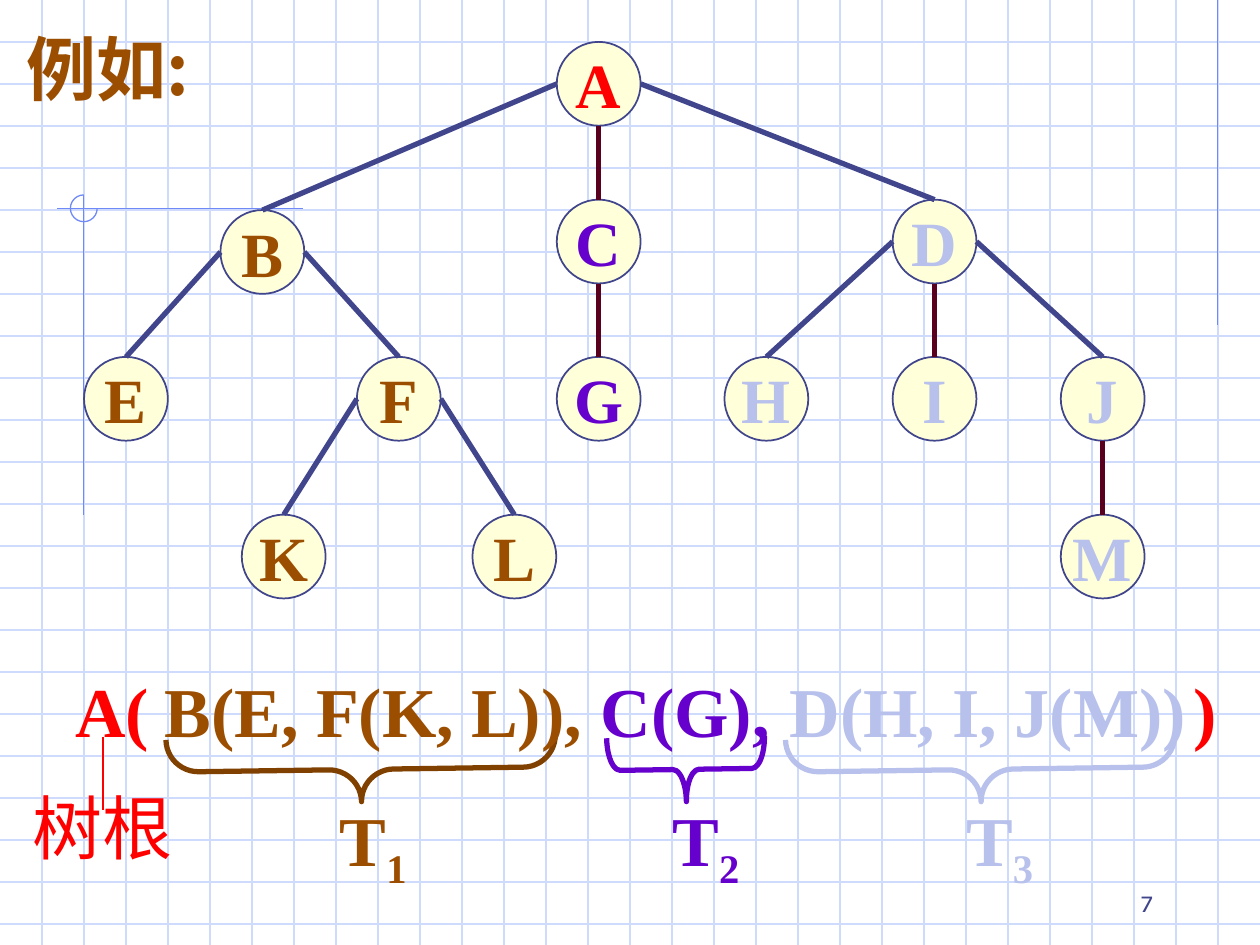
"""Builds a slide showing a tree and its nested-list notation."""
from dataclasses import dataclass

from lxml import etree
from pptx import Presentation
from pptx.dml.color import RGBColor
from pptx.enum.shapes import MSO_CONNECTOR, MSO_SHAPE
from pptx.enum.text import MSO_ANCHOR, MSO_AUTO_SIZE, PP_ALIGN
from pptx.oxml.ns import qn
from pptx.util import Cm, Pt

STRAIGHT = MSO_CONNECTOR.STRAIGHT
OVAL, ARC, BRACE = MSO_SHAPE.OVAL, MSO_SHAPE.ARC, MSO_SHAPE.LEFT_BRACE
LEFT, CENTER, RIGHT = PP_ALIGN.LEFT, PP_ALIGN.CENTER, PP_ALIGN.RIGHT
TOP, MIDDLE, BOTTOM = MSO_ANCHOR.TOP, MSO_ANCHOR.MIDDLE, MSO_ANCHOR.BOTTOM


@dataclass(frozen=True)
class Theme:
    grid: str = "CFDBFD"
    ornament: str = "6F89F7"
    node: str = "FFFFD9"
    ink: str = "40458C"
    trunk: str = "58001D"
    root: str = "FF0000"
    first: str = "9C4E00"
    first_brace: str = "804000"
    second: str = "6600CC"
    third: str = "B7C1EB"
    serif: str = "Times New Roman"
    cjk: str = "Noto Sans CJK SC"
    number: str = "Karla"
    large: int = 40
    label: int = 36
    small: int = 14


THEME = Theme()
WIDTH, HEIGHT = 25.4, 19.05
GRID_STEP = WIDTH / 30
DIAMETER = 1.69
RADIUS = DIAMETER / 2
TITLE, TITLE_BOX = "例如:", (0.28, 0.38, 4.37, 1.96)
ROOT_LABEL, ROOT_BOX = "树根", (0.41, 15.7, 3.33, 1.96)
PAGE_NUMBER, PAGE_BOX = "7", (18.21, 17.35, 5.28, 1.27)

NODES = {
    "A": (12.07, 1.69, THEME.root),
    "B": (5.29, 5.08, THEME.first),
    "C": (12.07, 4.87, THEME.second),
    "D": (18.84, 4.87, THEME.third),
    "E": (2.54, 8.04, THEME.first),
    "F": (8.04, 8.04, THEME.first),
    "G": (12.07, 8.04, THEME.second),
    "H": (15.45, 8.04, THEME.third),
    "I": (18.84, 8.04, THEME.third),
    "J": (22.23, 8.04, THEME.third),
    "K": (5.72, 11.22, THEME.first),
    "L": (10.37, 11.22, THEME.first),
    "M": (22.23, 11.22, THEME.third),
}
CHILDREN = {"A": "BCD", "B": "EF", "C": "G", "D": "HIJ", "F": "KL", "J": "M"}

NOTATION_TOP, NOTATION_HEIGHT = 13.34, 1.96
ROOT_NOTATION, ROOT_NOTATION_LEFT, ROOT_NOTATION_WIDTH = "A(\t)", 1.27, 23.6
CLOSING_TAB = 22.55
BRACE_MIDDLE, BRACE_DEPTH, BRACE_ANGLE = 15.51, 1.3, 269.2
SUBTREES = [
    {"notation": "B(E, F(K, L)),", "left": 3.07, "width": 9.27, "color": THEME.first,
     "brace": (7.28, 7.85, THEME.first_brace), "index": "1", "label_left": 6.6},
    {"notation": "C(G),", "left": 11.86, "width": 4.27, "color": THEME.second,
     "brace": (13.83, 3.18, THEME.second), "index": "2", "label_left": 13.31},
    {"notation": "D(H, I, J(M))", "left": 15.67, "width": 8.48, "color": THEME.third,
     "brace": (19.77, 7.85, THEME.third), "index": "3", "label_left": 19.23},
]
LABEL_TOP, LABEL_WIDTH, LABEL_HEIGHT = 15.93, 2.26, 2.18


def rgb(color):
    return RGBColor.from_string(color)


def add_line(slide, start, end, color, weight):
    line = slide.shapes.add_connector(STRAIGHT, *map(Cm, start + end))
    line.line.color.rgb = rgb(color)
    line.line.width = Pt(weight)
    etree.SubElement(line._element.spPr, qn("a:effectLst"))
    return line


def add_outline(slide, kind, box, color, weight, fill=None):
    shape = slide.shapes.add_shape(kind, *map(Cm, box))
    shape.shadow.inherit = False
    if fill:
        shape.fill.solid()
        shape.fill.fore_color.rgb = rgb(fill)
    else:
        shape.fill.background()
    shape.line.color.rgb = rgb(color)
    shape.line.width = Pt(weight)
    return shape


def write(shape, text, color, size=THEME.large, font=THEME.serif, bold=True,
          align=LEFT, anchor=TOP, wrap=False, tab=None):
    frame = shape.text_frame
    frame.word_wrap = wrap
    frame.auto_size = MSO_AUTO_SIZE.NONE
    frame.vertical_anchor = anchor
    paragraph = frame.paragraphs[0]
    paragraph.add_run().text = text
    paragraph.alignment = align
    if tab:
        tabs = etree.SubElement(paragraph._p.get_or_add_pPr(), qn("a:tabLst"))
        etree.SubElement(tabs, qn("a:tab"), pos=str(Cm(tab)), algn="l")
    paragraph.font.name = font
    paragraph.font.size = Pt(size)
    paragraph.font.bold = bold
    paragraph.font.color.rgb = rgb(color)
    properties = paragraph._p.pPr.find(qn("a:defRPr"))
    etree.SubElement(properties, qn("a:ea"), typeface=THEME.cjk)
    return paragraph


def add_text(slide, box, text, color, **style):
    return write(slide.shapes.add_textbox(*map(Cm, box)), text, color, **style)


def add_background(slide):
    for row in range(1, 23):
        y = row * GRID_STEP
        add_line(slide, (0, y), (WIDTH, y), THEME.grid, 0.75)
    for column in range(1, 30):
        x = column * GRID_STEP
        add_line(slide, (x, 0), (x, HEIGHT), THEME.grid, 0.75)
    for start, end in [((24.55, 0), (24.55, 6.55)), ((6.1, 4.21), (1.14, 4.21)),
                       ((1.69, 3.93), (1.69, 10.39))]:
        add_line(slide, start, end, THEME.ornament, 0.75)
    arc = add_outline(slide, ARC, (1.42, 3.93, 0.54, 0.54), THEME.ornament, 0.75)
    arc.adjustments[0] = 0
    arc.adjustments[1] = 162


def add_tree(slide):
    circles = {}
    for name, (x, y, color) in NODES.items():
        box = (x - RADIUS, y - RADIUS, DIAMETER, DIAMETER)
        circles[name] = add_outline(slide, OVAL, box, THEME.ink, 1, THEME.node)
        write(circles[name], name, color, size=THEME.label, align=CENTER, anchor=MIDDLE)
    for parent, children in CHILDREN.items():
        x, y, _ = NODES[parent]
        for child in children:
            child_x, child_y, _ = NODES[child]
            side = (child_x > x) - (child_x < x)
            start = (x + side * RADIUS, y if side else y + RADIUS)
            edge = add_line(slide, start, (child_x, child_y - RADIUS),
                            THEME.ink if side else THEME.trunk, 3)
            edge.end_connect(circles[child], 0)


def add_notation(slide):
    add_text(slide, (ROOT_NOTATION_LEFT, NOTATION_TOP, ROOT_NOTATION_WIDTH, NOTATION_HEIGHT),
             ROOT_NOTATION, THEME.root, wrap=True, tab=CLOSING_TAB)
    for subtree in SUBTREES:
        center, length, brace_color = subtree["brace"]
        box = (center - BRACE_DEPTH / 2, BRACE_MIDDLE - length / 2, BRACE_DEPTH, length)
        brace = add_outline(slide, BRACE, box, brace_color, 3)
        brace.adjustments[0] = length / 12 / BRACE_DEPTH
        brace.rotation = BRACE_ANGLE
        label = add_text(slide, (subtree["label_left"], LABEL_TOP, LABEL_WIDTH, LABEL_HEIGHT),
                         "T", subtree["color"], wrap=True)
        index = label.add_run()
        index.text = subtree["index"]
        index._r.get_or_add_rPr().set("baseline", "-25000")
        add_text(slide, (subtree["left"], NOTATION_TOP, subtree["width"], NOTATION_HEIGHT),
                 subtree["notation"], subtree["color"])
    add_line(slide, (2.08, 14.86), (2.08, 16.33), THEME.root, 1.5)
    add_text(slide, ROOT_BOX, ROOT_LABEL, THEME.root, bold=False)


def add_title(slide):
    title = slide.shapes.title
    title.left, title.top, title.width, title.height = map(Cm, TITLE_BOX)
    write(title, TITLE, THEME.first, font=THEME.cjk)
    slide.shapes._spTree.append(title._element)


def main():
    presentation = Presentation()
    presentation.slide_width, presentation.slide_height = Cm(WIDTH), Cm(HEIGHT)
    slide = presentation.slides.add_slide(presentation.slide_layouts[5])
    add_background(slide)
    add_tree(slide)
    add_notation(slide)
    add_title(slide)
    add_text(slide, PAGE_BOX, PAGE_NUMBER, THEME.ink, size=THEME.small, font=THEME.number,
             bold=False, align=RIGHT, anchor=BOTTOM, wrap=True)
    presentation.save("out.pptx")


if __name__ == "__main__":
    main()
